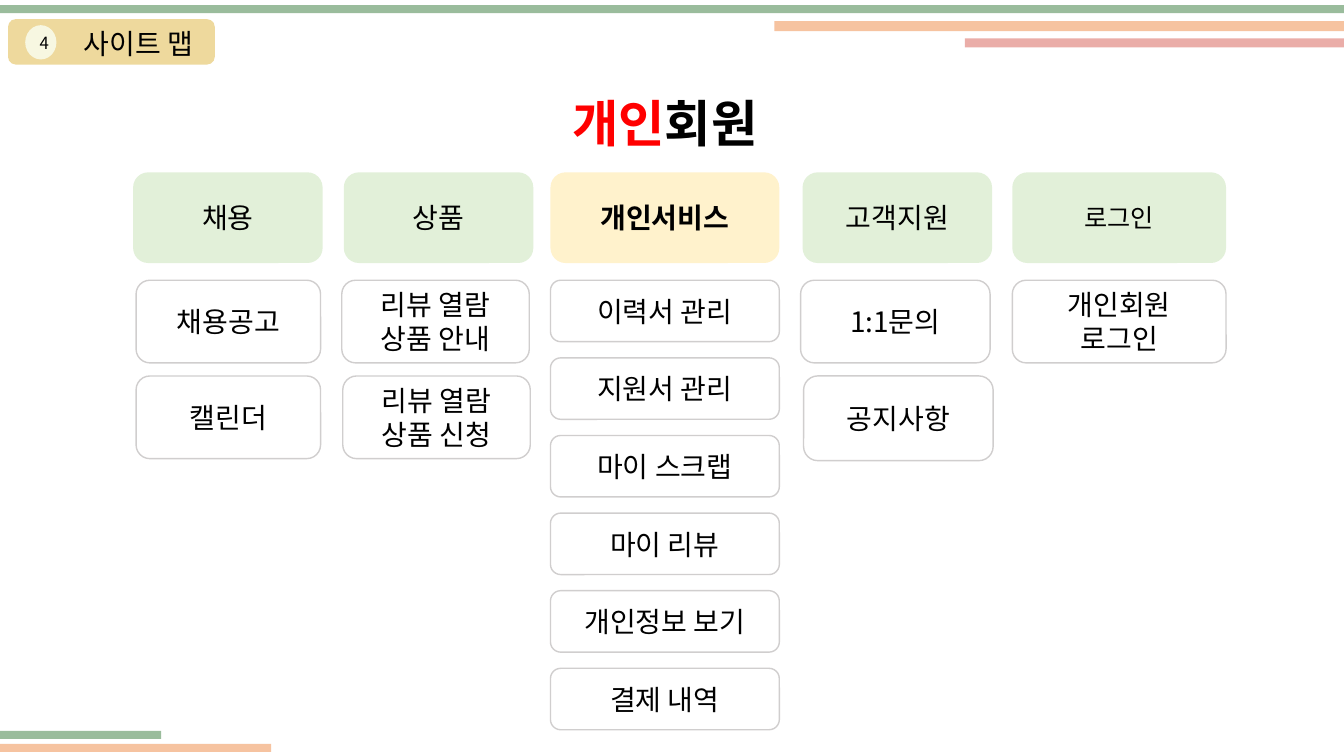
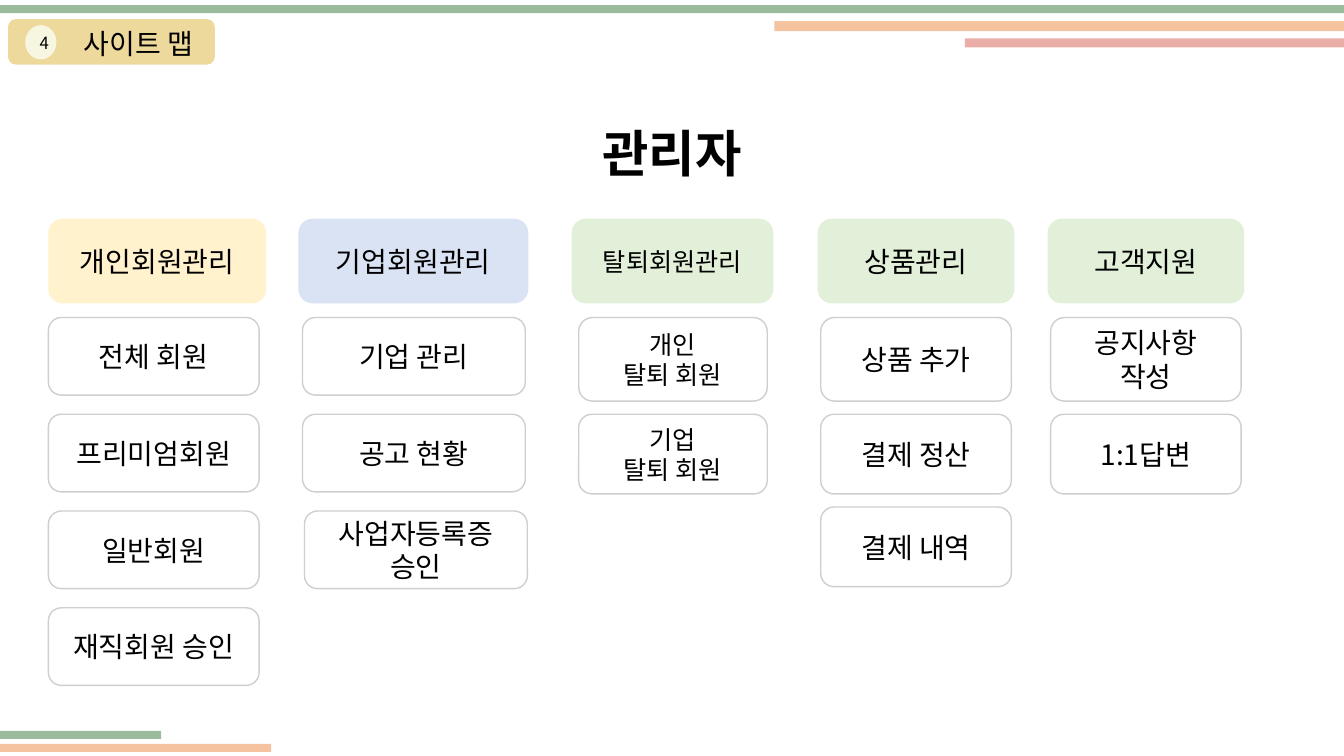
from dataclasses import dataclass

from lxml.etree import SubElement
from pptx import Presentation
from pptx.dml.color import RGBColor
from pptx.enum.shapes import MSO_SHAPE as Shape
from pptx.enum.text import MSO_ANCHOR as Anchor, PP_ALIGN as Align
from pptx.oxml.ns import qn
from pptx.util import Inches, Pt


@dataclass(frozen=True)
class Theme:
    font: str = "Noto Sans CJK KR"
    text: str = "000000"
    accent: str = "FF0000"
    white: str = "FFFFFF"
    border: str = "D0CECE"
    green: str = "E2F0D9"
    yellow: str = "FFF2CC"
    blue: str = "DAE3F3"
    tag: str = "EED99D"
    badge: str = "F7F7E1"
    green_band: str = "9ABC9C"
    orange_band: str = "F6C3A0"
    pink_band: str = "EAADA8"
    title_size: int = 36
    body_size: int = 20
    compact_size: int = 18
    badge_size: int = 12


THEME = Theme()

BANDS = [
    (0, 0.05, 13.33, 0.08, THEME.green_band),
    (7.68, 0.21, 5.65, 0.1, THEME.orange_band),
    (0, 7.38, 2.69, 0.08, THEME.orange_band),
    (0, 7.25, 1.6, 0.08, THEME.green_band),
    (9.57, 0.38, 3.76, 0.09, THEME.pink_band),
]


@dataclass
class Column:
    """A header and the items below it; shifts move single items sideways."""
    header: str
    left: float
    width: float
    item_left: float
    item_width: float
    items: list
    heights: list
    gap: float = 0.13
    shifts: tuple = ()
    fill: str = THEME.green
    bold: bool = False
    header_size: int = THEME.body_size
    item_size: int = THEME.body_size


def write(frame, text, size=THEME.body_size, color=THEME.text, bold=False,
          align=Align.CENTER, anchor=Anchor.MIDDLE, accent=""):
    """Fill a text frame, one paragraph a line; accent is a coloured lead-in."""
    frame.word_wrap = True
    frame.vertical_anchor = anchor
    for index, line in enumerate(text.split("\n")):
        paragraph = frame.paragraphs[0] if index == 0 else frame.add_paragraph()
        paragraph.alignment = align
        lead = accent if index == 0 else ""
        for part, part_color in ((lead, THEME.accent), (line, color)):
            if not part:
                continue
            run = paragraph.add_run()
            run.text = part
            run.font.size = Pt(size)
            run.font.bold = bold
            run.font.color.rgb = RGBColor.from_string(part_color)
            run.font.name = THEME.font
            properties = run._r.get_or_add_rPr()
            SubElement(properties, qn("a:ea"), typeface=THEME.font)


class SiteMapDeck:
    def __init__(self):
        self.presentation = Presentation()
        self.presentation.slide_width = Inches(13.33)
        self.presentation.slide_height = Inches(7.5)
        self.slide = None

    def shape(self, kind, left, top, width, height, fill, line=None):
        shape = self.slide.shapes.add_shape(
            kind, Inches(left), Inches(top), Inches(width), Inches(height))
        shape.shadow.inherit = False
        shape.fill.solid()
        shape.fill.fore_color.rgb = RGBColor.from_string(fill)
        if line:
            shape.line.color.rgb = RGBColor.from_string(line)
            shape.line.width = Pt(1)
        else:
            shape.line.fill.background()
        return shape

    def text_box(self, text, left, top, width, height, **text_format):
        box = self.slide.shapes.add_textbox(
            Inches(left), Inches(top), Inches(width), Inches(height))
        write(box.text_frame, text, anchor=Anchor.TOP, **text_format)

    def new_slide(self, title, title_left, title_top, accent=""):
        """Start a slide with the bands, section tag and title."""
        self.slide = self.presentation.slides.add_slide(
            self.presentation.slide_layouts[6])
        for left, top, width, height, fill in BANDS:
            self.shape(Shape.RECTANGLE, left, top, width, height, fill)
        self.shape(Shape.ROUNDED_RECTANGLE, 0.08, 0.19, 2.05, 0.45, THEME.tag)
        badge = self.shape(Shape.OVAL, 0.25, 0.25, 0.31, 0.34, THEME.badge)
        write(badge.text_frame, "4", size=THEME.badge_size, align=Align.LEFT)
        self.text_box("사이트 맵", 0.73, 0.21, 1.8, 0.44, align=Align.LEFT)
        self.text_box(title, title_left, title_top, 2.19, 0.71,
                      size=THEME.title_size, bold=True, accent=accent)

    def site_map(self, columns, top, header_height, item_top):
        for column in columns:
            header = self.shape(Shape.ROUNDED_RECTANGLE, column.left, top,
                                column.width, header_height, column.fill)
            write(header.text_frame, column.header,
                  size=column.header_size, bold=column.bold)
            shifts = column.shifts or [0] * len(column.items)
            next_top = item_top
            for text, height, shift in zip(column.items, column.heights, shifts):
                item = self.shape(Shape.ROUNDED_RECTANGLE,
                                  column.item_left + shift, next_top,
                                  column.item_width, height,
                                  THEME.white, THEME.border)
                write(item.text_frame, text, size=column.item_size)
                next_top += height + column.gap


MEMBER_COLUMNS = [
    Column("채용", 1.32, 1.88, 1.35, 1.83, ["채용공고", "캘린더"], [0.82] * 2),
    Column("상품", 3.41, 1.88, 3.39, 1.86,
           ["리뷰 열람\n상품 안내", "리뷰 열람\n상품 신청"], [0.82] * 2,
           shifts=(0, 0.01)),
    Column("개인서비스", 5.46, 2.27, 5.46, 2.27,
           ["이력서 관리", "지원서 관리", "마이 스크랩", "마이 리뷰",
            "개인정보 보기", "결제 내역"], [0.61] * 6,
           gap=0.16, fill=THEME.yellow, bold=True),
    Column("고객지원", 7.96, 1.88, 7.94, 1.88,
           ["1:1문의", "공지사항"], [0.82, 0.84], shifts=(0, 0.03)),
    Column("로그인", 10.04, 2.12, 10.04, 2.12, ["개인회원\n로그인"], [0.82],
           header_size=THEME.compact_size),
]

ADMIN_COLUMNS = [
    Column("개인회원관리", 0.48, 2.16, 0.48, 2.09,
           ["전체 회원", "프리미엄회원", "일반회원", "재직회원 승인"],
           [0.77] * 4, gap=0.19, fill=THEME.yellow),
    Column("기업회원관리", 2.96, 2.28, 3, 2.21,
           ["기업 관리", "공고 현황", "사업자등록증\n승인"],
           [0.77] * 3, gap=0.19, shifts=(0, 0, 0.02), fill=THEME.blue),
    Column("탈퇴회원관리", 5.67, 2, 5.74, 1.87,
           ["개인\n탈퇴 회원", "기업\n탈퇴 회원"], [0.83, 0.79],
           header_size=THEME.compact_size, item_size=THEME.compact_size),
    Column("상품관리", 8.11, 1.95, 8.14, 1.89,
           ["상품 추가", "결제 정산", "결제 내역"], [0.83, 0.79, 0.79]),
    Column("고객지원", 10.39, 1.95, 10.42, 1.89,
           ["공지사항\n작성", "1:1답변"], [0.83, 0.79]),
]


def main():
    deck = SiteMapDeck()
    deck.new_slide("회원", 5.5, 0.86, accent="개인")
    deck.site_map(MEMBER_COLUMNS, top=1.71, header_height=0.9, item_top=2.78)
    deck.new_slide("관리자", 5.57, 1.16)
    deck.site_map(ADMIN_COLUMNS, top=2.17, header_height=0.84, item_top=3.15)
    deck.presentation.save("out.pptx")


if __name__ == "__main__":
    main()
